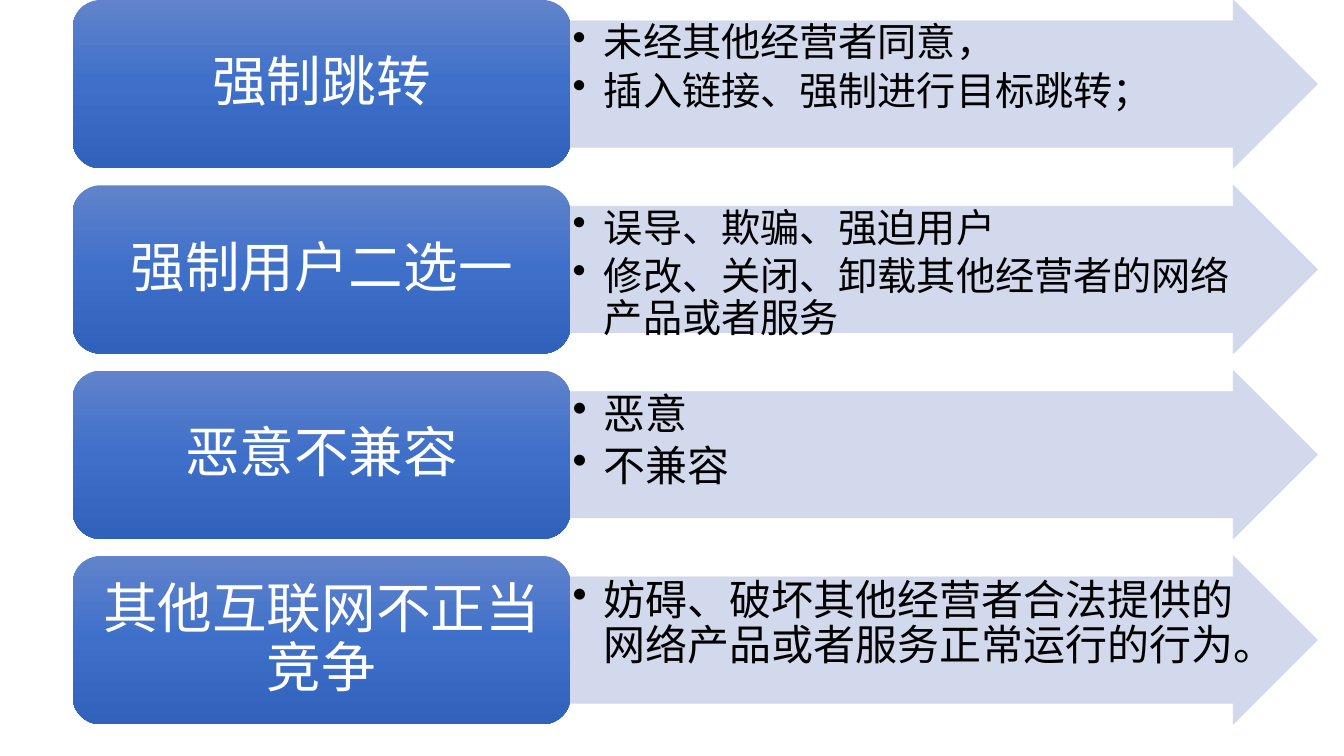
from lxml import etree
from pptx import Presentation
from pptx.dml.color import RGBColor
from pptx.enum.shapes import MSO_SHAPE
from pptx.enum.text import MSO_ANCHOR, PP_ALIGN
from pptx.oxml import parse_xml
from pptx.oxml.ns import nsdecls, qn
from pptx.util import Cm, Pt

ARROW, ROUNDED = MSO_SHAPE.RIGHT_ARROW, MSO_SHAPE.ROUNDED_RECTANGLE
TOP, MIDDLE = MSO_ANCHOR.TOP, MSO_ANCHOR.MIDDLE
LEFT, CENTER = PP_ALIGN.LEFT, PP_ALIGN.CENTER

# heading, bullet size in points, bullets
ROWS = [
    ("强制跳转", 28, ["未经其他经营者同意，", "插入链接、强制进行目标跳转；"]),
    ("强制用户二选一", 28,
     ["误导、欺骗、强迫用户", "修改、关闭、卸载其他经营者的网络产品或者服务"]),
    ("恶意不兼容", 30, ["恶意", "不兼容"]),
    ("其他互联网不正当竞争", 30,
     ["妨碍、破坏其他经营者合法提供的网络产品或者服务正常运行的行为。"]),
]
FONT, HEADING_SIZE = "Calibri", 39
PALE, BLACK, WHITE = "CFD5EA", "000000", "FFFFFF"
GRADIENT = [(0, "6183CB"), (50, "3E70CA"), (100, "3062BB")]

# centimetres
HEADING_LEFT, HEADING_WIDTH, ARROW_WIDTH = 1.83, 12.55, 18.82
ROW_HEIGHT, ROW_PITCH = 4.24, 4.67
BULLET_INDENT = 0.79


def rgb(color):
    """Turn a hex string into a colour."""
    return RGBColor.from_string(color)


def set_alpha(fill, percent):
    """Make a solid fill partly transparent."""
    color = fill._xPr.find(qn("a:solidFill"))[0]
    etree.SubElement(color, qn("a:alpha")).set("val", str(percent * 1000))


def fill_gradient(s, stops):
    """Fill a shape with a gradient running from top to bottom."""
    stop_xml = "".join(
        f'<a:gs pos="{pos * 1000}"><a:srgbClr val="{color}"/></a:gs>'
        for pos, color in stops)
    s._element.spPr.find(qn("a:prstGeom")).addnext(parse_xml(
        f'<a:gradFill {nsdecls("a")} rotWithShape="1"><a:gsLst>{stop_xml}'
        '</a:gsLst><a:lin ang="5400000" scaled="0"/></a:gradFill>'))


def add_bullet(p):
    """Give a paragraph a round bullet and a hanging indent."""
    pPr = p._p.get_or_add_pPr()
    pPr.set("marL", str(Cm(BULLET_INDENT)))
    pPr.set("indent", str(-Cm(BULLET_INDENT)))
    etree.SubElement(pPr, qn("a:buChar")).set("char", "•")


def set_text(s, lines, size, color, align, anchor, insets, after):
    """Write the lines into a shape, with spacing as a share of the size."""
    tf = s.text_frame
    tf.word_wrap = True
    tf.vertical_anchor = anchor
    tf.margin_left = tf.margin_right = Cm(insets[0])
    tf.margin_top = tf.margin_bottom = Cm(insets[1])
    tf.text = "\n".join(lines)
    for p in tf.paragraphs:
        p.alignment = align
        p.line_spacing = 0.9
        p.space_after = Pt(size * after)
        font = p.runs[0].font
        font.name, font.size = FONT, Pt(size)
        font.color.rgb = rgb(color)


def add_arrow(slide, top, size, bullets):
    """Add the pale arrow with its bullets."""
    s = slide.shapes.add_shape(ARROW, Cm(HEADING_LEFT + HEADING_WIDTH), Cm(top),
                               Cm(ARROW_WIDTH), Cm(ROW_HEIGHT))
    s.adjustments[0], s.adjustments[1] = 0.75, 0.5
    s.shadow.inherit = False
    s.line.width = Pt(0.5)
    for fill in (s.fill, s.line.fill):
        fill.solid()
        fill.fore_color.rgb = rgb(PALE)
        set_alpha(fill, 90)
    set_text(s, bullets, size, BLACK, LEFT, TOP, (0.05, 0.05), 0.15)
    for p in s.text_frame.paragraphs:
        add_bullet(p)


def add_heading(slide, top, heading):
    """Add the blue rounded box with its heading."""
    s = slide.shapes.add_shape(ROUNDED, Cm(HEADING_LEFT), Cm(top),
                               Cm(HEADING_WIDTH), Cm(ROW_HEIGHT))
    s.shadow.inherit = False
    s.line.fill.background()
    fill_gradient(s, GRADIENT)
    set_text(s, [heading], HEADING_SIZE, WHITE, CENTER, MIDDLE, (0.41, 0.2), 0.35)


prs = Presentation()
prs.slide_width, prs.slide_height = Cm(33.87), Cm(19.05)
slide = prs.slides.add_slide(prs.slide_layouts[6])
for i, (heading, size, bullets) in enumerate(ROWS):
    add_arrow(slide, i * ROW_PITCH, size, bullets)
    add_heading(slide, i * ROW_PITCH, heading)
prs.save("out.pptx")
